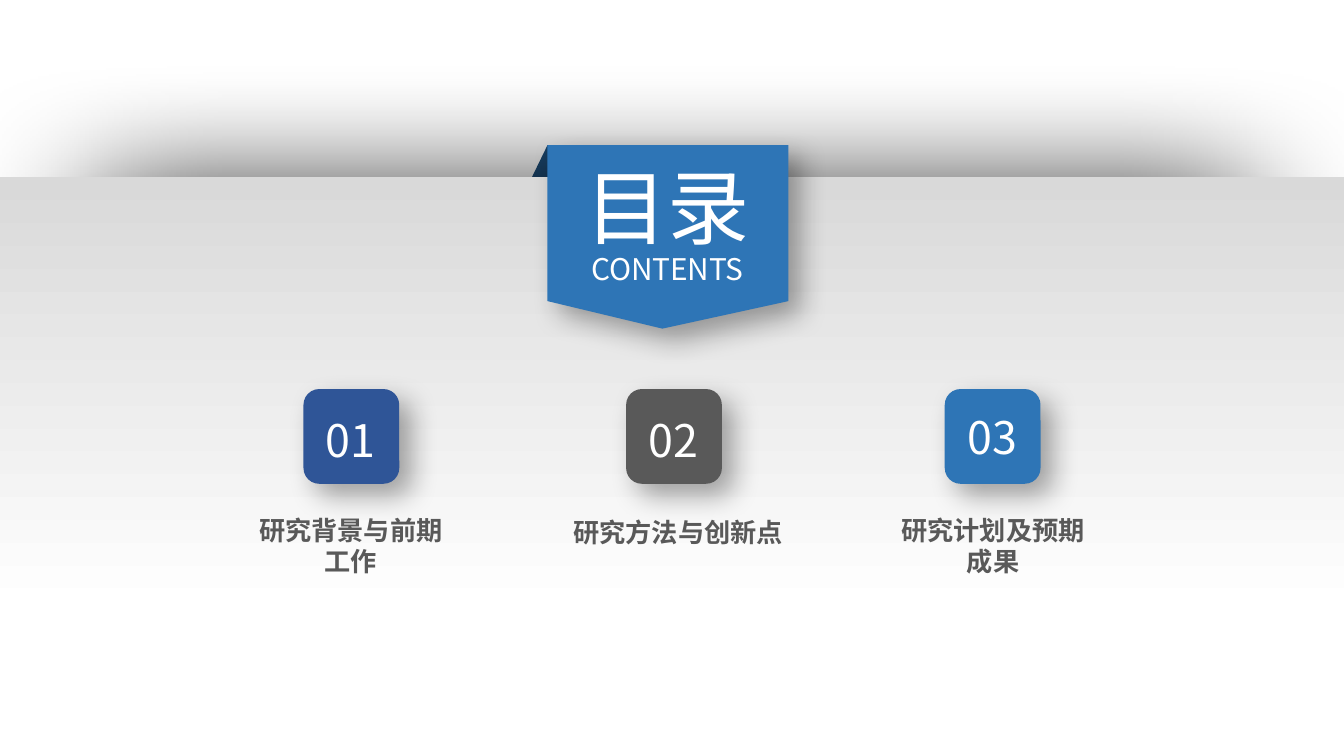
from pptx import Presentation
from pptx import util as u
from pptx.dml.color import RGBColor
from pptx.enum import shapes, text
from pptx.oxml import parse_xml
from pptx.oxml.ns import nsdecls, qn

CELL = u.Inches(0.1)  # side of one grid cell; the slide is 133.3 by 75 cells

THEME = {
    "font": "Noto Sans CJK SC",
    "white": "FFFFFF", "gray": "595959", "haze": "D9D9D9",
    "blue": "2E75B6", "navy": "2F5597", "fold": "1F4E79",
    "title": 58.6, "sub": 21.3, "num": 32, "label": 18.7,
}
SOFT = {"alpha": 35, "blur": 20, "dist": 12, "dir": 45, "scale": 100, "algn": "tl"}
DEEP = {"alpha": 100, "blur": 100, "dist": 13, "dir": 270, "scale": 86, "algn": "ctr"}


def cells(*vals):
    return [round(v * CELL) for v in vals]


def rgb(name):
    return RGBColor.from_string(THEME[name])


def shade(shape, kind):
    shape.shadow.inherit = False
    if kind is None:
        return
    size = kind["scale"] * 1000
    shape._element.spPr.find(qn("a:effectLst")).append(parse_xml(
        f'<a:outerShdw {nsdecls("a")} blurRad="{u.Pt(kind["blur"])}" '
        f'dist="{u.Pt(kind["dist"])}" dir="{kind["dir"] * 60000}" '
        f'sx="{size}" sy="{size}" algn="{kind["algn"]}" rotWithShape="0">'
        f'<a:srgbClr val="000000"><a:alpha val="{kind["alpha"] * 1000}"/>'
        '</a:srgbClr></a:outerShdw>'))


def paint(shape, color, kind=None):
    shape.fill.solid()
    shape.fill.fore_color.rgb = rgb(color)
    shape.line.fill.background()
    shade(shape, kind)


def outline(slide, points, color, kind=None):
    start, *rest = [cells(*p) for p in points]
    pen = slide.shapes.build_freeform(*start)
    pen.add_line_segments(rest, close=True)
    paint(pen.convert_to_shape(), color, kind)


def write(slide, box, words, size, color="white", bold=False, wrap=True,
          pad=(1, 0.5), anchor=text.MSO_ANCHOR.TOP):
    frame = slide.shapes.add_textbox(*cells(*box)).text_frame
    side, edge = cells(*pad)
    form = {"word_wrap": wrap, "vertical_anchor": anchor,
            "margin_left": side, "margin_right": side,
            "margin_top": edge, "margin_bottom": edge}
    for key, val in form.items():
        setattr(frame, key, val)
    para = frame.paragraphs[0]
    para.alignment = text.PP_ALIGN.CENTER
    run = para.add_run()
    run.text = words
    for key, val in {"name": THEME["font"], "size": u.Pt(THEME[size]), "bold": bold}.items():
        setattr(run.font, key, val)
    run.font.color.rgb = rgb(color)
    run.font._element.append(parse_xml(
        f'<a:ea {nsdecls("a")} typeface="{THEME["font"]}"/>'))


def panel(slide, box):
    shape = slide.shapes.add_shape(shapes.MSO_SHAPE.RECTANGLE, *cells(*box))
    shape.fill.gradient()
    shape.fill.gradient_angle = 270
    for stop, (place, color) in zip(shape.fill.gradient_stops,
                                    [(0, "haze"), (0.75, "white")]):
        stop.position = place
        stop.color.rgb = rgb(color)
    shape.line.fill.background()
    shade(shape, DEEP)


def fold(slide, box):
    """Dark strip that runs behind the panel from the banner's corner."""
    x, y, w, h = box
    outline(slide, [(x, y), (x + 15.7, y), (x + 15.7, y + 10.2), (x - 5.1, y + 10.5)], "fold")


def banner(slide, box):
    x, y, w, h = box
    side = y + 0.85 * h
    outline(slide, [(x + w, y), (x + w, side), (x + 11.4, y + h), (x, side), (x, y)],
            "blue", SOFT)
    write(slide, (x + 2.7, y + 0.6, 18.5, 10.9), "目录", "title", wrap=False)
    write(slide, (x + 1.2, y + 10, 21.4, 4.6), "CONTENTS", "sub")


def topic(slide, box, num, color, label, shift, span, drop, rise):
    """Numbered tile with a label below; shift and span place the label."""
    x, y, w, h = box
    tile = slide.shapes.add_shape(shapes.MSO_SHAPE.ROUNDED_RECTANGLE, *cells(*box))
    paint(tile, color, SOFT)
    write(slide, (x + 0.5, y + 1.5 - rise, 8.4, 7), num, "num",
          anchor=text.MSO_ANCHOR.MIDDLE)
    write(slide, (x + shift, y + drop, span, 8.1), label, "label", "gray",
          bold=True, pad=(1.8, 0.9))


def contents(slide):
    fold(slide, (54.3, 14.4, 23.9, 18.2))
    panel(slide, (0, 17.6, 133.3, 57.4))
    banner(slide, (54.3, 14.4, 23.9, 18.2))
    topics = [
        (30.1, "01", "navy", "研究背景与前期工作", -6.5, 22.4, 11.5, 0),
        (62.1, "02", "gray", "研究方法与创新点", -7.8, 25.9, 11.7, 0),
        (93.7, "03", "blue", "研究计划及预期成果", -6.4, 22.4, 11.5, 0.3),
    ]
    for x, *rest in topics:
        topic(slide, (x, 38.6, 9.5, 9.4), *rest)


def main():
    deck = Presentation()
    deck.slide_width, deck.slide_height = u.Inches(13.33), u.Inches(7.5)
    contents(deck.slides.add_slide(deck.slide_layouts[6]))
    deck.save("out.pptx")


if __name__ == "__main__":
    main()
